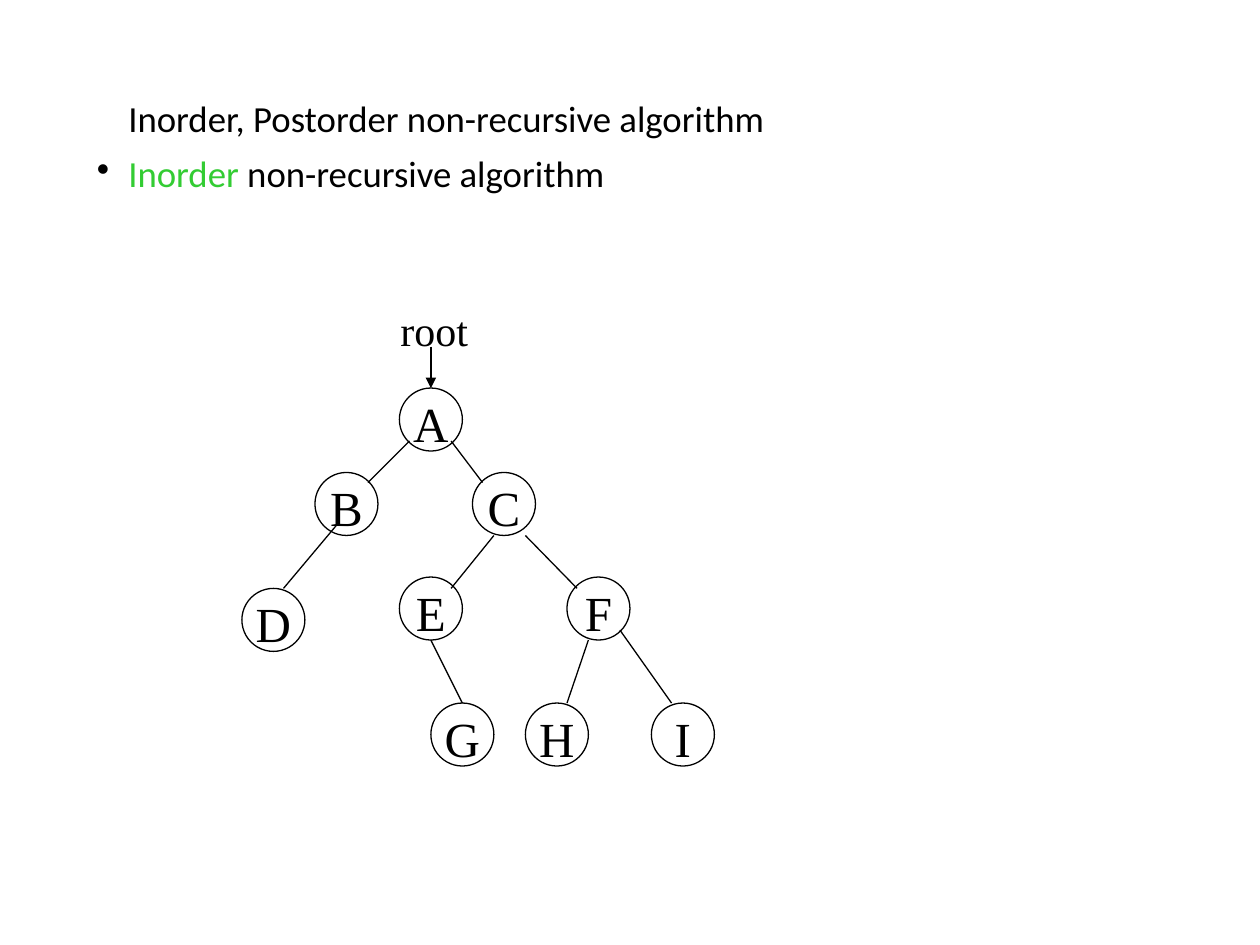
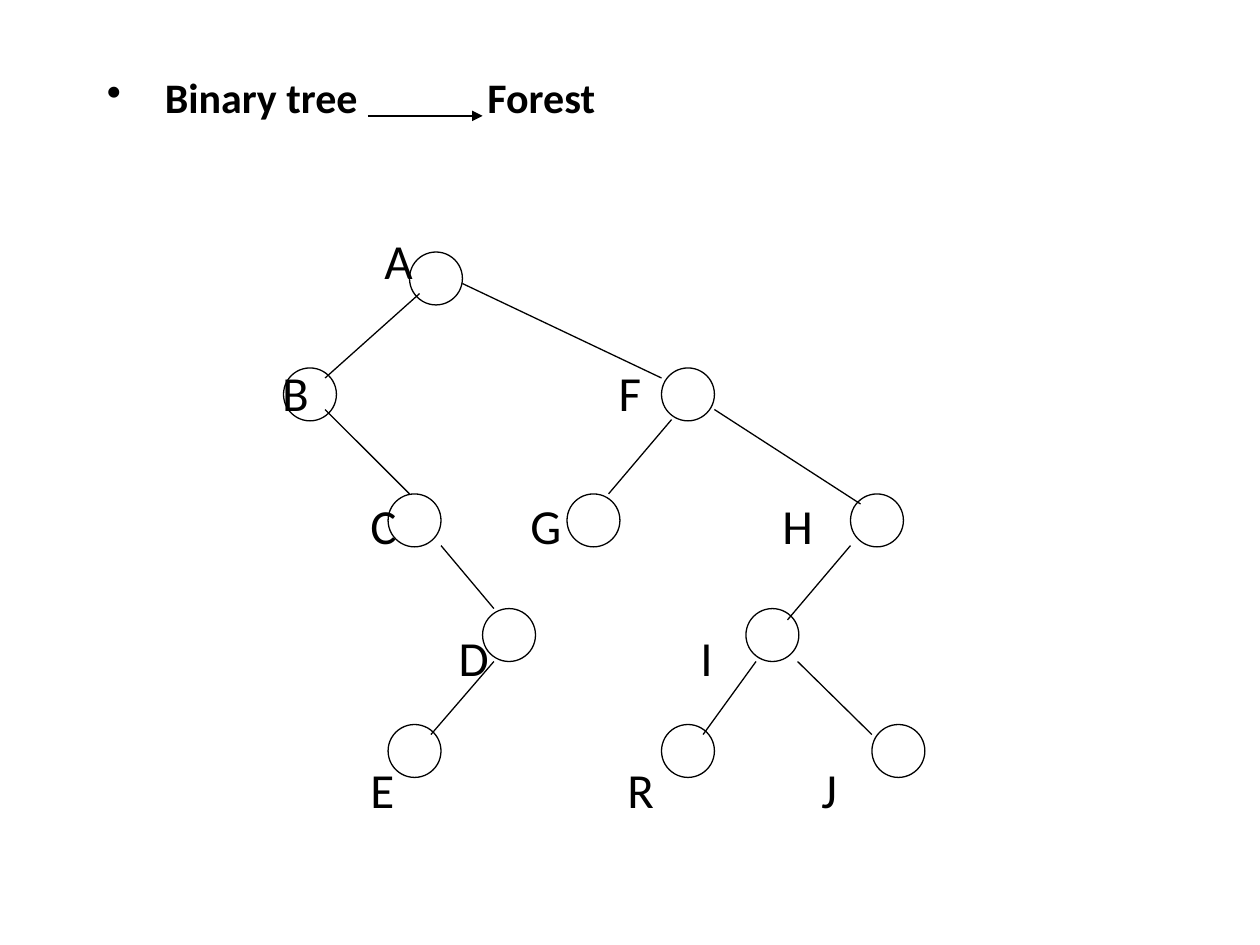
from lxml import etree
from pptx import Presentation
from pptx.dml.color import RGBColor
from pptx.enum.shapes import MSO_CONNECTOR as Connector, MSO_SHAPE as Shape
from pptx.enum.text import MSO_ANCHOR as Anchor, PP_ALIGN as Align
from pptx.oxml.ns import qn
from pptx.util import Inches, Pt

COLORS = {"ink": "000000", "highlight": "33CC33"}
SANS, SERIF = "Calibri", "Times New Roman"
LINE_WIDTH = Pt(0.75)

# Traversal tree: left and top of each node, then the line ends
TRAVERSAL_SIZE = 0.5
TRAVERSAL_NODES = {
    "A": (3.17, 3.08), "B": (2.5, 3.75), "C": (3.75, 3.75),
    "D": (1.92, 4.67), "E": (3.17, 4.58), "F": (4.5, 4.58),
    "I": (5.17, 5.58), "H": (4.17, 5.58), "G": (3.42, 5.58),
}
TRAVERSAL_EDGES = [
    (3.25, 3.5, 2.92, 3.83), (2.67, 4.17, 2.25, 4.67),
    (3.58, 3.5, 3.83, 3.83), (3.92, 4.25, 3.58, 4.67),
    (4.17, 4.25, 4.58, 4.67), (3.42, 5.08, 3.67, 5.58),
    (4.67, 5.08, 4.5, 5.58), (4.92, 5, 5.33, 5.58),
]

# Binary tree: one row per level, each node as label, label left, circle left
BINARY_SIZE = 0.42
BINARY_LEVELS = [
    (2, [("A", 3.05, 3.25)]),
    (2.92, [("B", 2.24, 2.25), ("F", 4.91, 5.25)]),
    (3.92, [("C", 2.94, 3.08), ("G", 4.21, 4.5), ("H", 6.21, 6.75)]),
    (4.83, [("D", 3.64, 3.83), ("I", 5.56, 5.92)]),
    (5.75, [("E", 2.94, 3.08), ("R", 4.98, 5.25), ("J", 6.52, 6.92)]),
]
LABEL_TOP, LABEL_PITCH = 1.83, 1.05
BINARY_EDGES = [
    (3.33, 2.33, 2.58, 3), (2.58, 3.25, 3.25, 3.92),
    (3.67, 2.25, 5.25, 3), (5.67, 3.25, 6.83, 4),
    (5.33, 3.33, 4.83, 3.92), (6, 5.25, 5.58, 5.83),
    (3.92, 5.25, 3.42, 5.83), (6.33, 5.25, 6.92, 5.83),
    (6.75, 4.33, 6.25, 4.92), (3.5, 4.33, 3.92, 4.83),
]


def color(name):
    return RGBColor.from_string(COLORS[name])


def format_runs(paragraph, size, font=SANS, bold=False):
    for run in paragraph.runs:
        run.font.name = font
        run.font.size = Pt(size)
        run.font.bold = bold
        run.font.color.rgb = color("ink")


def set_indent(paragraph, indent, bullet=False):
    properties = paragraph._p.get_or_add_pPr()
    properties.set("marL", str(Inches(indent)))
    properties.set("indent", str(-Inches(indent) if bullet else 0))
    if bullet:
        etree.SubElement(properties, qn("a:buChar"), char="•")


def add_text(slide, text, left, top, width, height, size,
             font=SANS, bold=False, inset=0.1):
    """Add a text box and return its text frame."""
    box = slide.shapes.add_textbox(*map(Inches, (left, top, width, height)))
    frame = box.text_frame
    frame.word_wrap = True
    frame.margin_left = frame.margin_right = Inches(inset)
    frame.margin_top = frame.margin_bottom = Inches(inset / 2)
    frame.text = text
    for paragraph in frame.paragraphs:
        format_runs(paragraph, size, font, bold)
    return frame


def add_node(slide, left, top, size, letter=""):
    """Add a tree node as an unfilled circle, with its letter if given."""
    box = map(Inches, (left, top, size, size))
    node = slide.shapes.add_shape(Shape.OVAL, *box)
    node.shadow.inherit = False
    node.fill.background()
    node.line.color.rgb = color("ink")
    node.line.width = LINE_WIDTH
    if letter:
        frame = node.text_frame
        frame.word_wrap = False
        frame.vertical_anchor = Anchor.MIDDLE
        frame.margin_top, frame.margin_bottom = Inches(0.05), 0
        frame.text = letter
        frame.paragraphs[0].alignment = Align.CENTER
        format_runs(frame.paragraphs[0], 28, SERIF)
    return node


def add_line(slide, ends, arrow=False):
    line = slide.shapes.add_connector(Connector.STRAIGHT, *map(Inches, ends))
    line.line.color.rgb = color("ink")
    line.line.width = LINE_WIDTH
    if arrow:
        etree.SubElement(line.line._get_or_add_ln(), qn("a:tailEnd"),
                         type="triangle")
    etree.SubElement(line._element.spPr, qn("a:effectLst"))
    return line


def build_traversal_slide(slide):
    # Heading and bullet
    frame = add_text(slide, "Inorder, Postorder non-recursive algorithm",
                     0.67, 0.75, 8.5, 1, 21)
    heading = frame.paragraphs[0]
    set_indent(heading, 0.25)
    bullet = frame.add_paragraph()
    set_indent(bullet, 0.25, bullet=True)
    bullet.space_before = Pt(9)
    for part in ("Inorder ", "non-recursive algorithm"):
        bullet.add_run().text = part
    format_runs(bullet, 21)
    bullet.runs[0].font.color.rgb = color("highlight")
    # The bullet sign takes the ink colour, not that of the first word
    sign_color = etree.Element(qn("a:buClr"))
    etree.SubElement(sign_color, qn("a:srgbClr"), val=COLORS["ink"])
    bullet._p.pPr.find(qn("a:buChar")).addprevious(sign_color)
    for paragraph in frame.paragraphs:
        paragraph.line_spacing = 0.9

    # Tree
    nodes = {letter: add_node(slide, left, top, TRAVERSAL_SIZE, letter)
             for letter, (left, top) in TRAVERSAL_NODES.items()}
    for ends in TRAVERSAL_EDGES:
        add_line(slide, ends)

    # Root pointer
    add_text(slide, "root", 3.08, 2.37, 0.9, 0.5, 24, SERIF)
    pointer = add_line(slide, (3.42, 2.75, 3.42, 3.08), arrow=True)
    pointer.end_connect(nodes["A"], 0)


def build_binary_slide(slide):
    # Title: the arrow runs between its two words
    for text, left, width in (("Binary tree", 0.75, 2.2),
                              ("Forest", 3.77, 2)):
        title = add_text(slide, text, left, 0.42, width, 0.75, 24, bold=True)
        title.vertical_anchor = Anchor.MIDDLE
        title.paragraphs[0].line_spacing = 0.9
        if text == "Binary tree":
            set_indent(title.paragraphs[0], 0.46, bullet=True)
    add_line(slide, (2.92, 0.92, 3.83, 0.92), arrow=True)

    # Tree with a label beside each node
    for level, (node_top, nodes) in enumerate(BINARY_LEVELS):
        label_top = LABEL_TOP + level * LABEL_PITCH
        for label, label_left, node_left in nodes:
            add_text(slide, label, label_left, label_top, 0.4, 0.48, 28,
                     inset=0)
            add_node(slide, node_left, node_top, BINARY_SIZE)
    for ends in BINARY_EDGES:
        add_line(slide, ends)


def main():
    presentation = Presentation()
    presentation.slide_width = Inches(10)
    presentation.slide_height = Inches(7.5)
    blank = presentation.slide_layouts[6]
    for build in (build_traversal_slide, build_binary_slide):
        build(presentation.slides.add_slide(blank))
    presentation.save("out.pptx")


if __name__ == "__main__":
    main()
